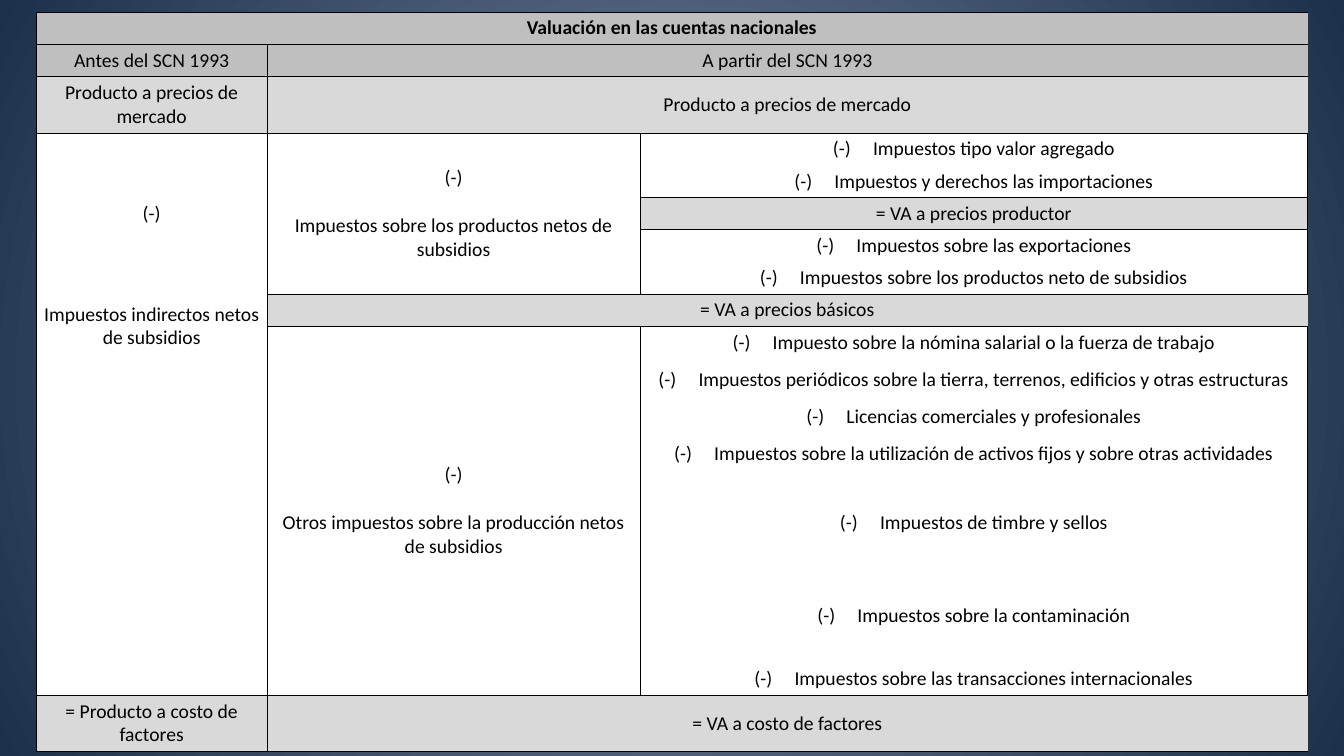
import pptx
import pptx.util
import pptx.dml.color
import pptx.enum.text
import pptx.oxml.ns
import lxml.etree

Inches, Pt = pptx.util.Inches, pptx.util.Pt
RGB = pptx.dml.color.RGBColor
qn = pptx.oxml.ns.qn

BLACK = RGB(0x00, 0x00, 0x00)
WHITE = RGB(0xFF, 0xFF, 0xFF)
GREY = RGB(0xBF, 0xBF, 0xBF)
PALE = RGB(0xD9, 0xD9, 0xD9)
GLOW = RGB(0x79, 0x8A, 0xA8)
NAVY = RGB(0x1D, 0x30, 0x4A)

SIZE = 14
LINE, TALL, HIGH, WRAP = 0.32, 0.42, 0.93, 0.56
COLS = [2.29, 3.7, 6.62]
ROWS = [LINE] * 2 + [WRAP] + [LINE] * 7 + [TALL, LINE, TALL, HIGH, HIGH, LINE, WRAP]
MINUS = "(-)"
GAP = "     "

# Merged blocks: row, column, rows, columns, fill, paragraphs
BLOCKS = [
    (0, 0, 1, 3, GREY, ["Valuación en las cuentas nacionales"]),
    (1, 0, 1, 1, GREY, ["Antes del SCN 1993"]),
    (1, 1, 1, 2, GREY, ["A partir del SCN 1993"]),
    (2, 0, 1, 1, PALE, ["Producto a precios de mercado"]),
    (2, 1, 1, 2, PALE, ["Producto a precios de mercado"]),
    (3, 1, 5, 1, WHITE, [MINUS, "Impuestos sobre los productos netos de subsidios"]),
    (5, 2, 1, 1, PALE, ["= VA a precios productor"]),
    (8, 1, 1, 2, PALE, ["= VA a precios básicos"]),
    (9, 1, 7, 1, WHITE, [MINUS, "Otros impuestos sobre la producción netos de subsidios"]),
    (16, 0, 1, 1, PALE, ["= Producto a costo de factores"]),
    (16, 1, 1, 2, PALE, ["= VA a costo de factores"]),
]

# Taxes listed under one another in the last column, by first row
TAXES = {
    3: ["Impuestos tipo valor agregado",
        "Impuestos y derechos las importaciones"],
    6: ["Impuestos sobre las exportaciones",
        "Impuestos sobre los productos neto de subsidios"],
    9: ["Impuesto sobre la nómina salarial o la fuerza de trabajo",
        "Impuestos periódicos sobre la tierra, terrenos, edificios y otras estructuras",
        "Licencias comerciales y profesionales",
        "Impuestos sobre la utilización de activos fijos y sobre otras actividades",
        "Impuestos de timbre y sellos",
        "Impuestos sobre la contaminación",
        "Impuestos sobre las transacciones internacionales"],
}


def edge(cell, place, side, width):
    """Set one border of a cell; no width means no line."""
    line = lxml.etree.Element(qn("a:ln" + side))
    if width:
        line.set("w", str(Pt(width)))
        fill = lxml.etree.SubElement(line, qn("a:solidFill"))
        lxml.etree.SubElement(fill, qn("a:srgbClr")).set("val", str(BLACK))
    else:
        lxml.etree.SubElement(line, qn("a:noFill"))
    cell._tc.get_or_add_tcPr().insert(place, line)


def frame(grid, row, col, high, wide, color):
    """Fill a range of cells and rule its outline."""
    for r in range(row, row + high):
        for c in range(col, col + wide):
            cell = grid.cell(r, c)
            cell.fill.solid()
            cell.fill.fore_color.rgb = color
            cell.margin_left = cell.margin_right = Inches(0.04)
            cell.margin_top = cell.margin_bottom = Inches(0.04)
            cell.vertical_anchor = pptx.enum.text.MSO_ANCHOR.MIDDLE
            sides = [
                ("L", c == col, 0.75 if c == 2 else 1),
                ("R", c == col + wide - 1, 1 if c == 0 or wide > 1 else 0.75),
                ("T", r == row, 1 if r < 3 else 0.75),
                ("B", r == row + high - 1, 1 if r in (0, 1, 16) else 0.75),
            ]
            for place, (side, outer, width) in enumerate(sides):
                edge(cell, place, side, width if outer else 0)
            # Keep empty cells from stretching their rows
            end = lxml.etree.SubElement(cell.text_frame.paragraphs[0]._p, qn("a:endParaRPr"))
            end.set("sz", str(SIZE * 100))


def write(cell, texts, bold=False):
    """Write centred paragraphs, one line of space apart."""
    body = cell.text_frame
    for i, text in enumerate(texts):
        para = body.add_paragraph() if i else body.paragraphs[0]
        para.alignment = pptx.enum.text.PP_ALIGN.CENTER
        if i < len(texts) - 1:
            para.space_after = Pt(17)
        run = para.add_run()
        run.text = text
        run.font.name = "Calibri"
        run.font.size = Pt(SIZE)
        run.font.bold = bold
        run.font.color.rgb = BLACK


def paint(slide):
    """Radial background, lighter in the centre."""
    fill = slide.background.fill
    fill.gradient()
    for stop, color in zip(fill.gradient_stops, (GLOW, NAVY)):
        stop.color.rgb = color
    line = next(slide.element.iter(qn("a:lin")))
    ring = lxml.etree.Element(qn("a:path"), {"path": "circle"})
    lxml.etree.SubElement(ring, qn("a:fillToRect"), {s: "50000" for s in "ltrb"})
    line.getparent().replace(line, ring)


def chart(slide, left, top):
    """Valuation table with its top left corner at the given place."""
    shape = slide.shapes.add_table(len(ROWS), len(COLS), Inches(left), Inches(top),
                                   Inches(sum(COLS)), Inches(sum(ROWS)))
    grid = shape.table
    grid.first_row = grid.horz_banding = False
    for col, width in zip(grid.columns, COLS):
        col.width = Inches(width)
    for row, height in zip(grid.rows, ROWS):
        row.height = Inches(height)

    # Headings, subtotals and grouped taxes
    for row, col, high, wide, color, texts in BLOCKS:
        frame(grid, row, col, high, wide, color)
        cell = grid.cell(row, col)
        if high * wide > 1:
            cell.merge(grid.cell(row + high - 1, col + wide - 1))
        write(cell, texts, bold=row == 0)

    # Single taxes
    for first, names in TAXES.items():
        frame(grid, first, 2, len(names), 1, WHITE)
        for i, name in enumerate(names):
            write(grid.cell(first + i, 2), [MINUS + GAP + name])

    # Indirect taxes down the first column
    frame(grid, 3, 0, 13, 1, WHITE)
    grid.cell(8, 0).merge(grid.cell(9, 0))
    write(grid.cell(5, 0), [MINUS])
    write(grid.cell(8, 0), ["Impuestos indirectos netos de subsidios"])


def main():
    deck = pptx.Presentation()
    deck.slide_width, deck.slide_height = Inches(13.33), Inches(7.5)
    slide = deck.slides.add_slide(deck.slide_layouts[6])
    paint(slide)
    chart(slide, 0.36, 0.12)
    deck.save("out.pptx")


if __name__ == "__main__":
    main()
